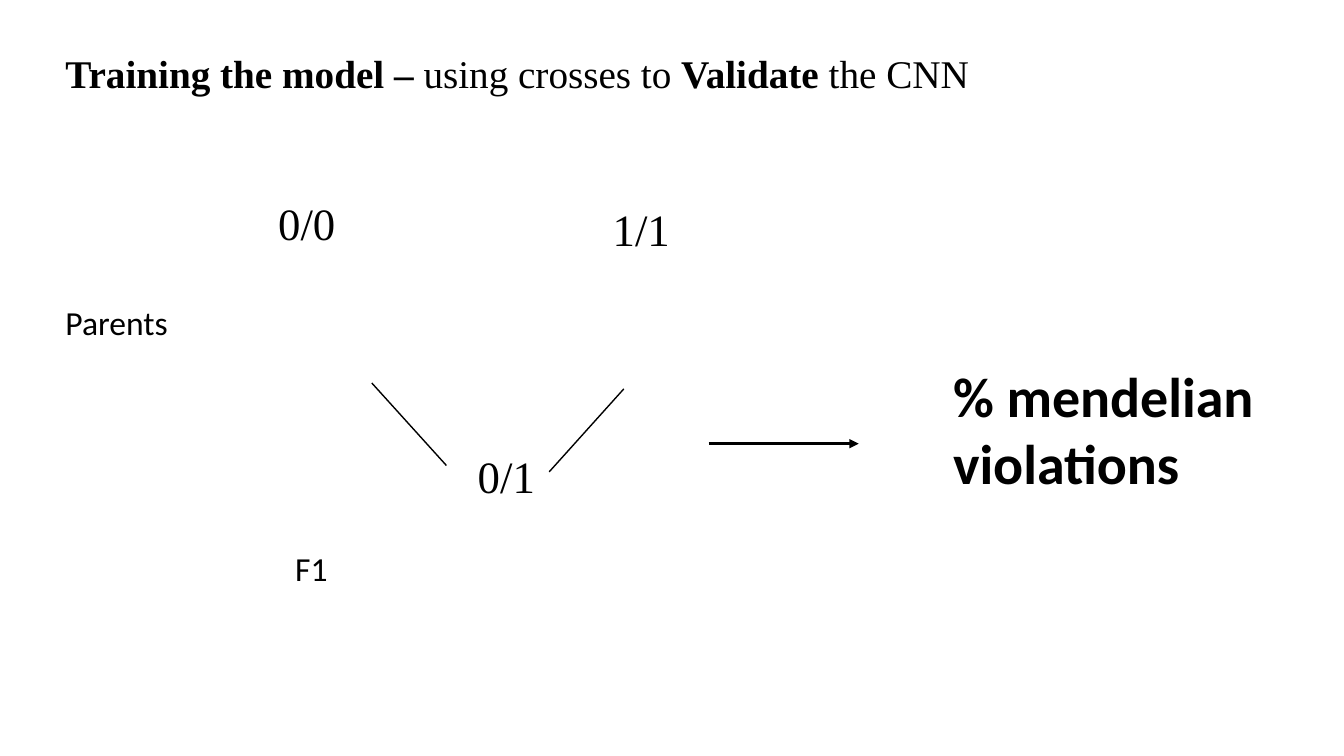
from lxml import etree
from pptx import Presentation
from pptx.dml.color import RGBColor
from pptx.enum.shapes import MSO_CONNECTOR
from pptx.enum.text import MSO_AUTO_SIZE
from pptx.oxml.ns import qn
from pptx.util import Cm, Pt

STRAIGHT = MSO_CONNECTOR.STRAIGHT
GROW = MSO_AUTO_SIZE.SHAPE_TO_FIT_TEXT
SERIF = "Times New Roman"
SANS = "Calibri"


def color(value):
    return RGBColor.from_string(value)


class CrossSlide:
    ink = "000000"

    def __init__(self, prs):
        self.s = prs.slides.add_slide(prs.slide_layouts[6])

    def text(self, box, runs, size, font, wrap=False):
        sp = self.s.shapes.add_textbox(*(Cm(v) for v in box))
        tf = sp.text_frame
        tf.word_wrap = wrap
        tf.auto_size = GROW
        p = tf.paragraphs[0]
        for content, bold in runs:
            r = p.add_run()
            r.text = content
            r.font.name = font
            r.font.size = Pt(size)
            r.font.bold = bold
            r.font.color.rgb = color(self.ink)

    def line(self, start, end, width, arrow=False):
        sp = self.s.shapes.add_connector(STRAIGHT, *(Cm(v) for v in start + end))
        sp.line.width = Pt(width)
        sp.line.color.rgb = color(self.ink)
        if arrow:
            ln = sp.line._get_or_add_ln()
            etree.SubElement(ln, qn("a:tailEnd"), type="triangle")
        etree.SubElement(sp._element.spPr, qn("a:effectLst"))


def main():
    prs = Presentation()
    prs.slide_width, prs.slide_height = Cm(33.87), Cm(19.05)
    slide = CrossSlide(prs)

    title = [
        ("Training the model – ", True),
        ("using crosses to ", False),
        ("Validate", True),
        (" the CNN", False),
    ]
    slide.text((1.4, 1.12, 23.52, 1.45), title, 28, SERIF)

    genotypes = [("0/0", 6.76, 4.8), ("1/1", 15.19, 4.95), ("0/1", 11.79, 11.18)]
    for genotype, left, top in genotypes:
        slide.text((left, top, 1.98, 1.63), [(genotype, False)], 32, SERIF)

    for start, end in [((9.37, 9.65), (11.25, 11.73)), ((15.72, 9.8), (13.84, 11.89))]:
        slide.line(start, end, 1)

    for generation, left, top, width in [("Parents", 1.4, 7.49, 3.12), ("F1", 7.19, 13.69, 1.35)]:
        slide.text((left, top, width, 1.27), [(generation, False)], 24, SANS)

    slide.line((17.86, 11.18), (21.64, 11.18), 2.25, arrow=True)
    slide.text((23.77, 8.99, 8.79, 3.68), [("% mendelian violations", True)], 40, SANS, wrap=True)

    prs.save("out.pptx")


if __name__ == "__main__":
    main()
